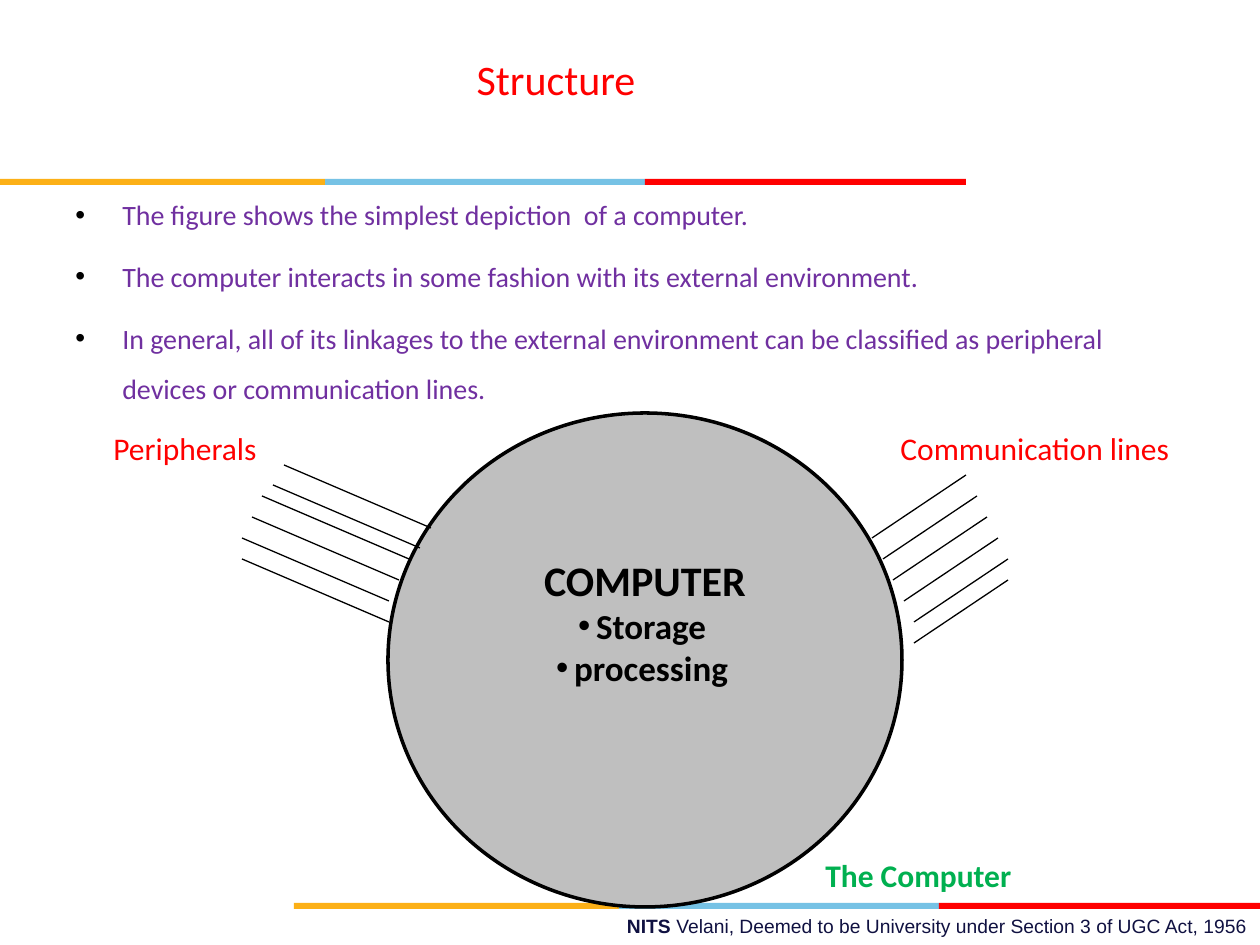
from lxml import etree
from pptx import Presentation
from pptx import util as u
from pptx.dml.color import RGBColor
from pptx.enum import shapes, text
from pptx.oxml import ns

EMU_PER_PX = 914400 / 126
RED, BLUE, ORANGE, BLACK = "FF0000", "76C2E5", "FCB017", "000000"
CENTER, RIGHT = text.PP_ALIGN.CENTER, text.PP_ALIGN.RIGHT


def px(*lengths):
    return [u.Emu(round(length * EMU_PER_PX)) for length in lengths]


def color(hex_value):
    return RGBColor.from_string(hex_value)


def apply(target, values):
    for name, value in values.items():
        setattr(target, name, value)


def add_bullet(paragraph, margin, indent):
    """Black round bullet; call after the paragraph spacing is set."""
    properties = paragraph._p.get_or_add_pPr()
    properties.set("marL", str(px(margin)[0]))
    properties.set("indent", str(px(indent)[0]))
    bullet_color = etree.SubElement(properties, ns.qn("a:buClr"))
    etree.SubElement(bullet_color, ns.qn("a:srgbClr"), val=BLACK)
    etree.SubElement(properties, ns.qn("a:buFont"), typeface="Arial")
    etree.SubElement(properties, ns.qn("a:buChar"), char="•")


class SlideBuilder:
    font = "Calibri"

    def __init__(self, slide):
        self.slide = slide

    def add_words(self, paragraph, words, size, hex_value, bold=False, font=None):
        run = paragraph.add_run()
        run.text = words
        apply(run.font, {"name": font or self.font, "size": u.Pt(size), "bold": bold})
        run.font.color.rgb = color(hex_value)

    def text_box(self, box, wrap=True, **frame_values):
        """Add an empty text box and return its text frame."""
        frame = self.slide.shapes.add_textbox(*px(*box)).text_frame
        apply(frame, {"word_wrap": wrap, **frame_values})
        return frame

    def label(self, box, words, size, hex_value, bold=False, align=None, **frame_values):
        paragraph = self.text_box(box, **frame_values).paragraphs[0]
        paragraph.alignment = align
        self.add_words(paragraph, words, size, hex_value, bold)

    def bullets(self, box, items, size, hex_value):
        frame = self.text_box(box)
        for index, item in enumerate(items):
            paragraph = frame.add_paragraph() if index else frame.paragraphs[0]
            apply(paragraph, {"line_spacing": 1.5, "space_before": u.Pt(6.4 if index else 0)})
            add_bullet(paragraph, 47, -47)
            self.add_words(paragraph, item, size, hex_value)

    def shape(self, kind, box, fill, line=None, line_width=0):
        shape = self.slide.shapes.add_shape(kind, *px(*box))
        shape.shadow.inherit = False
        shape.fill.solid()
        shape.fill.fore_color.rgb = color(fill)
        if line:
            shape.line.color.rgb = color(line)
            shape.line.width = u.Pt(line_width)
        else:
            shape.line.fill.background()
        return shape

    def tricolor_rule(self, left, top):
        edges = [left + offset for offset in (0, 325, 645, 966)]
        for start, end, fill in zip(edges, edges[1:], (ORANGE, BLUE, RED)):
            self.shape(shapes.MSO_SHAPE.RECTANGLE, (start, top, end - start, 6), fill)

    def computer(self, box, heading, functions):
        circle = self.shape(shapes.MSO_SHAPE.OVAL, box, "BFBFBF", BLACK, 2)
        frame = circle.text_frame
        apply(frame, {"word_wrap": True, "vertical_anchor": text.MSO_ANCHOR.MIDDLE,
                      "margin_bottom": px(83)[0]})
        frame.paragraphs[0].alignment = CENTER
        self.add_words(frame.paragraphs[0], heading, 24, BLACK, True)
        for function in functions:
            paragraph = frame.add_paragraph()
            paragraph.alignment = CENTER
            add_bullet(paragraph, 0, -18)
            self.add_words(paragraph, function, 20, BLACK, True)

    def link_lines(self, starts, run, rise):
        """Parallel lines from the given points, all with the same offset."""
        for x, y in starts:
            line = self.slide.shapes.add_connector(
                shapes.MSO_CONNECTOR.STRAIGHT, *px(x, y, x + run, y + rise))
            line.line.color.rgb = color(BLACK)
            line.line.width = u.Pt(0.75)
            etree.SubElement(line._element.spPr, ns.qn("a:effectLst"))


def main():
    presentation = Presentation()
    presentation.slide_width, presentation.slide_height = px(1260, 945)
    slide = presentation.slides.add_slide(presentation.slide_layouts[6])
    builder = SlideBuilder(slide)

    footer = builder.text_box((451, 908, 809, 37)).paragraphs[0]
    footer.alignment = RIGHT
    builder.add_words(footer, "NITS ", 11, "101141", True, "Arial")
    builder.add_words(footer, "Velani, Deemed to be University under Section 3 of UGC Act, 1956",
                      11, "101141", font="Arial")
    builder.tricolor_rule(294, 903)
    builder.tricolor_rule(0, 179)

    builder.label((25, 0, 1062, 158), "Structure", 24, RED, align=CENTER,
                  vertical_anchor=text.MSO_ANCHOR.MIDDLE)
    builder.bullets((63, 175, 1134, 624), [
        "The figure shows the simplest depiction  of a computer.",
        "The computer interacts in some fashion with its external environment.",
        "In general, all of its linkages to the external environment can be classified "
        "as peripheral devices or communication lines.",
    ], 16, "7030A0")

    builder.computer((388, 413, 514, 494), "COMPUTER", ["Storage", "processing"])
    peripheral_starts = [(284, 465), (273, 485), (262, 496), (252, 517), (242, 538), (242, 559)]
    builder.link_lines(peripheral_starts, 147, 63)
    communication_x = (966, 977, 987, 998, 1008, 1008)
    builder.link_lines([(x, 475 + 21 * i) for i, x in enumerate(communication_x)], -94, 63)

    builder.label((101, 423, 178, 50), "Peripherals", 18, RED, wrap=False)
    builder.label((888, 423, 297, 50), "Communication lines", 18, RED, wrap=False)
    builder.label((813, 850, 213, 50), "The Computer", 18, "00B050", True, wrap=False)

    presentation.save("out.pptx")


if __name__ == "__main__":
    main()
